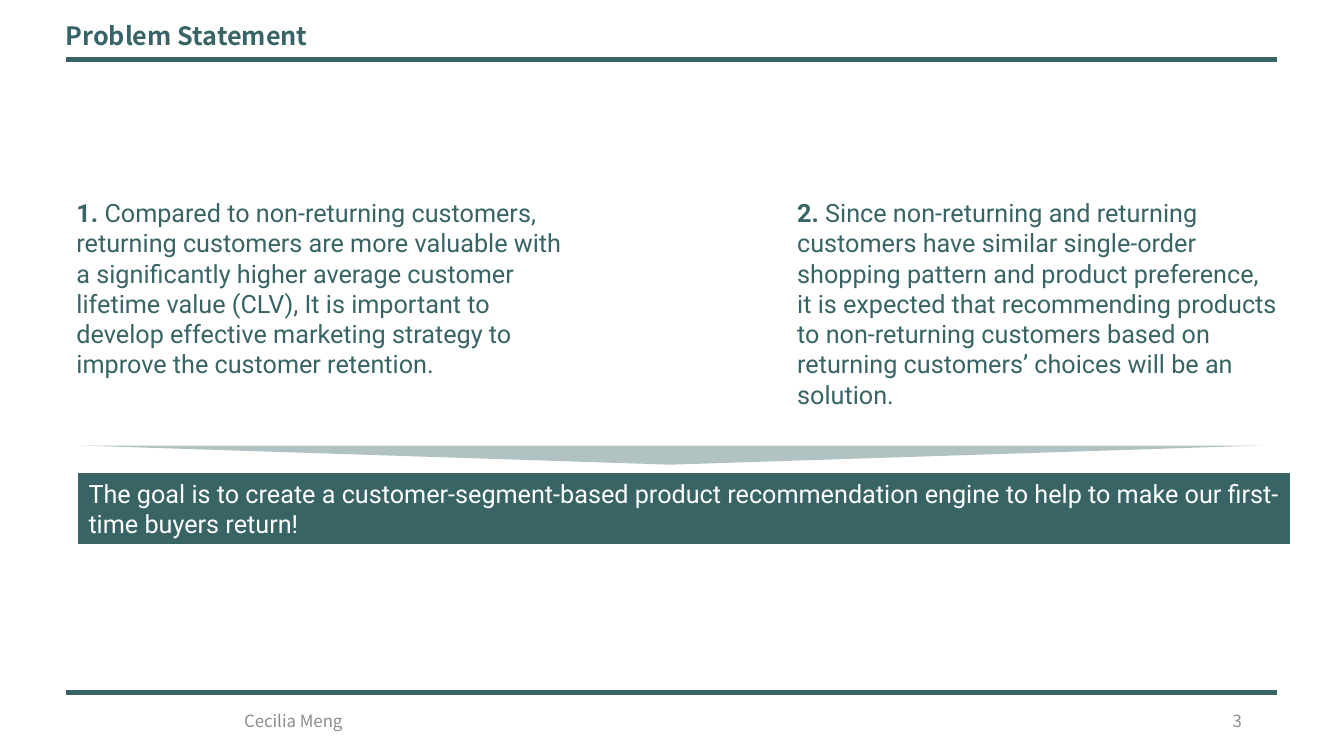
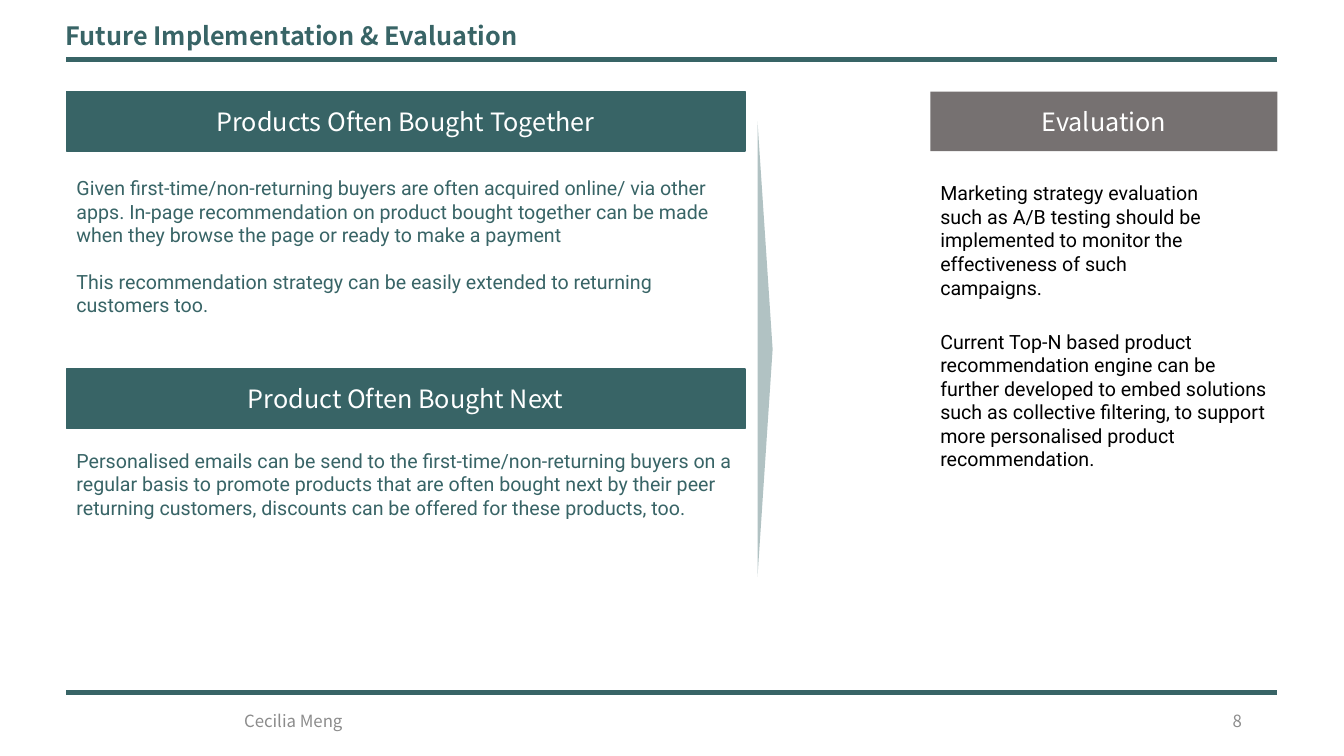
import lxml.etree
import pptx
import pptx.util
import pptx.dml.color
import pptx.enum.shapes
import pptx.enum.text
import pptx.oxml.ns

Pt = pptx.util.Pt
RGB = pptx.dml.color.RGBColor.from_string
SHAPE = pptx.enum.shapes.MSO_SHAPE
ALIGN = pptx.enum.text.PP_ALIGN
ANCHOR = pptx.enum.text.MSO_ANCHOR
qn = pptx.oxml.ns.qn

COLORS = {"teal": "386466", "gray": "767171", "footer": "8C8C8C",
          "white": "FFFFFF", "black": "000000"}
SANS, ROBOTO = "Noto Sans CJK SC", "Roboto"
TITLE = {"name": SANS, "size": Pt(18), "bold": True}
HEADING = {"name": SANS, "size": Pt(18)}
FOOTER = {"name": SANS, "size": Pt(12)}
LARGE = {"name": ROBOTO, "size": Pt(18)}
BODY = {"name": ROBOTO, "size": Pt(14)}

prs = pptx.Presentation()
prs.slide_width = pptx.util.Inches(13.33)
prs.slide_height = pptx.util.Inches(7.5)
COL, ROW = prs.slide_width / 160, prs.slide_height / 90
LEFT, RIGHT = 7.92, 152.08
BAR_H = 7.08
WIDE = 80.76
SIDE = 110.76


def grid(col, row, cols, rows):
    return [int(v) for v in (col * COL, row * ROW, cols * COL, rows * ROW)]


def write(sp, paragraphs, fmt, color, align=ALIGN.LEFT, anchor=ANCHOR.TOP):
    tf = sp.text_frame
    tf.word_wrap = True
    tf.vertical_anchor = anchor
    for i, runs in enumerate(paragraphs):
        p = tf.add_paragraph() if i else tf.paragraphs[0]
        p.alignment = align
        if i:
            p.space_before = Pt(16.4)
        for text, extra in runs:
            r = p.add_run()
            r.text = text
            r.font.color.rgb = RGB(COLORS[color])
            for key, value in {**fmt, **extra}.items():
                setattr(r.font, key, value)


layout = prs.slide_layouts[5]
title = layout.placeholders[0]
for key, value in zip(("left", "top", "width", "height"), grid(6.6, 1.8, 60.24, 4.8)):
    setattr(title, key, value)

slides = []
for text, number in (("Problem Statement", "3"),
                     ("Future Implementation & Evaluation", "8")):
    s = prs.slides.add_slide(layout)
    write(s.shapes.title, [[(text, {})]], TITLE, "teal")
    sp = s.shapes.add_textbox(*grid(113.04, 83.4, 36, 4.8))
    write(sp, [[(number, {})]], FOOTER, "footer", ALIGN.RIGHT, ANCHOR.MIDDLE)
    slides.append(s)
problem, future = slides

for row in (7.08, 82.44):
    x, y, w, h = grid(LEFT, row, RIGHT - LEFT, 0)
    line = problem.shapes.add_connector(
        pptx.enum.shapes.MSO_CONNECTOR.STRAIGHT, x, y, x + w, y)
    line.line.color.rgb = RGB(COLORS["teal"])
    line.line.width = Pt(3)
    lxml.etree.SubElement(line.element.spPr, qn("a:effectLst"))
    layout.shapes.element.append(line.element)

sp = problem.shapes.add_textbox(*grid(LEFT, 83.4, 54, 4.8))
write(sp, [[("Cecilia Meng", {})]], FOOTER, "footer", ALIGN.CENTER, ANCHOR.MIDDLE)
layout.shapes.element.append(sp.element)

bars = (
    (problem, (9.36, 56.4, 144.16, 8.28), "teal", LARGE, ALIGN.LEFT,
     "The goal is to create a customer-segment-based product recommendation "
     "engine to help to make our first-time buyers return!"),
    (future, (LEFT, 10.92, WIDE, BAR_H), "teal", HEADING, ALIGN.CENTER,
     "Products Often Bought Together"),
    (future, (LEFT, 43.92, WIDE, BAR_H), "teal", HEADING, ALIGN.CENTER,
     "Product Often Bought Next"),
    (future, (SIDE, 10.92, RIGHT - SIDE, BAR_H), "gray", HEADING, ALIGN.CENTER,
     "Evaluation"),
)
for s, cells, color, fmt, align, text in bars:
    sp = s.shapes.add_shape(SHAPE.RECTANGLE, *grid(*cells))
    sp.shadow.inherit = False
    sp.fill.solid()
    sp.fill.fore_color.rgb = RGB(COLORS[color])
    if color == "teal":
        sp.line.color.rgb = RGB(COLORS[color])
        sp.line.width = Pt(1)
    else:
        sp.line.fill.background()
    write(sp, [[(text, {})]], fmt, "white", align, ANCHOR.MIDDLE)

texts = (
    (problem, (LEFT, 22.92, 62.4, 26.64), LARGE, "teal", [[
        ("1. ", {"bold": True}),
        ("Compared to non-returning customers, returning customers are more "
         "valuable with a significantly higher average customer lifetime value "
         "(CLV), It is important to develop effective marketing strategy to "
         "improve the customer retention.", {})]]),
    (problem, (93.72, 22.92, 59.64, 26.64), LARGE, "teal", [[
        ("2. ", {"bold": True}),
        ("Since non-returning and returning customers have similar single-order "
         "shopping pattern and product preference, it is expected that "
         "recommending products to non-returning customers based on returning "
         "customers’ choices will be an solution.", {})]]),
    (future, (LEFT, 20.4, WIDE, 18.12), BODY, "teal", [
        [("Given first-time/non-returning buyers are often acquired online/ via "
          "other apps. In-page recommendation on product bought together can be "
          "made when they browse the page or ready to make a payment", {})],
        [("This recommendation strategy can be easily extended to returning "
          "customers too.", {})]]),
    (future, (LEFT, 52.8, WIDE, 9.72), BODY, "teal", [[
        ("Personalised emails can be send to the first-time/non-returning buyers "
         "on a regular basis to promote products that are often bought next by "
         "their peer returning customers, discounts can be offered for these "
         "products, too.", {})]]),
    (future, (SIDE, 21, 36, 12.48), BODY, "black", [[
        ("Marketing strategy evaluation such as A/B testing should be "
         "implemented to monitor the effectiveness of such campaigns.", {})]]),
    (future, (SIDE, 38.64, RIGHT - SIDE, 18.12), BODY, "black", [[
        ("Current Top-N based product recommendation engine can be further "
         "developed to embed solutions such as collective filtering, to support "
         "more personalised product recommendation.", {})]]),
)
for s, cells, fmt, color, paragraphs in texts:
    write(s.shapes.add_textbox(*grid(*cells)), paragraphs, fmt, color)

for s, cells, angle in ((problem, (9.48, 53.04, 140.76, 2.28), 180),
                        (future, (63.96, 40.68, 54.24, 1.8), 90)):
    sp = s.shapes.add_shape(SHAPE.ISOSCELES_TRIANGLE, *grid(*cells))
    sp.rotation = angle
    sp.shadow.inherit = False
    sp.line.fill.background()
    sp.fill.solid()
    sp.fill.fore_color.rgb = RGB(COLORS["teal"])
    fill = sp.element.spPr.find(".//" + qn("a:srgbClr"))
    lxml.etree.SubElement(fill, qn("a:alpha"), val="39000")

prs.save("out.pptx")
